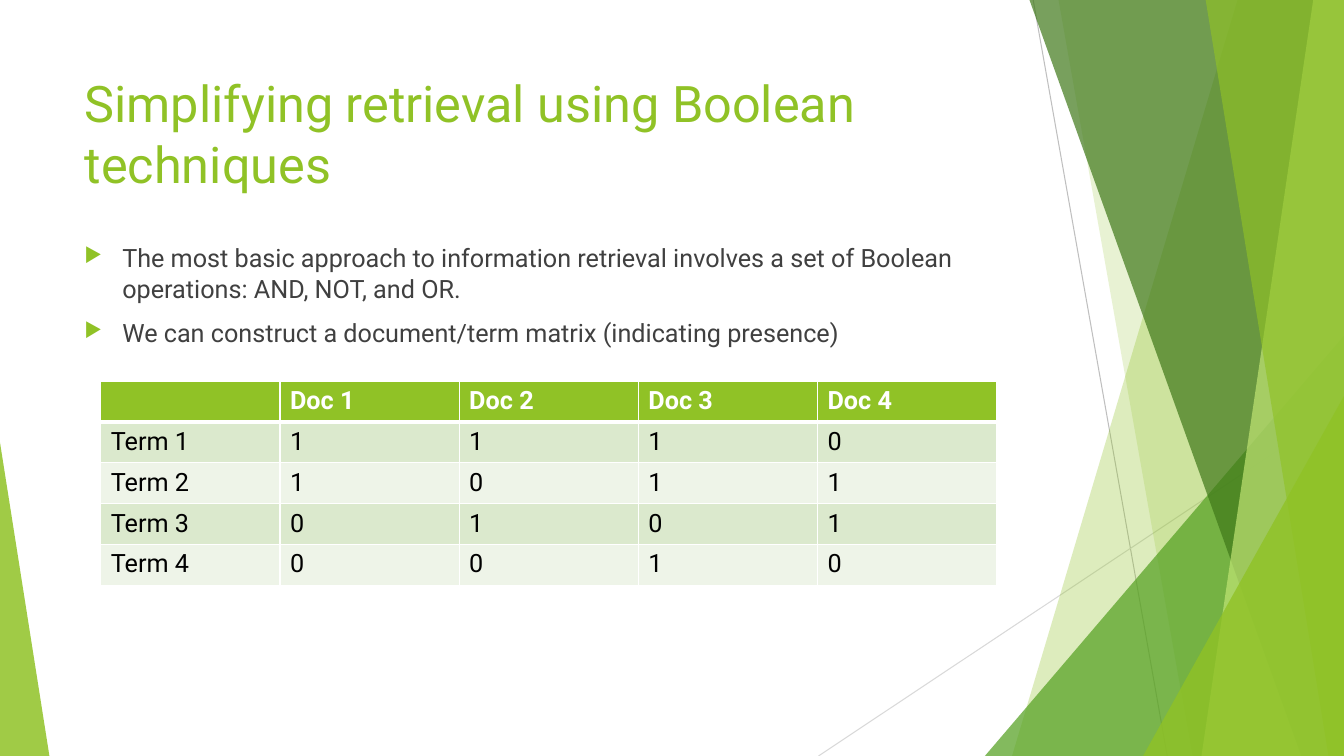
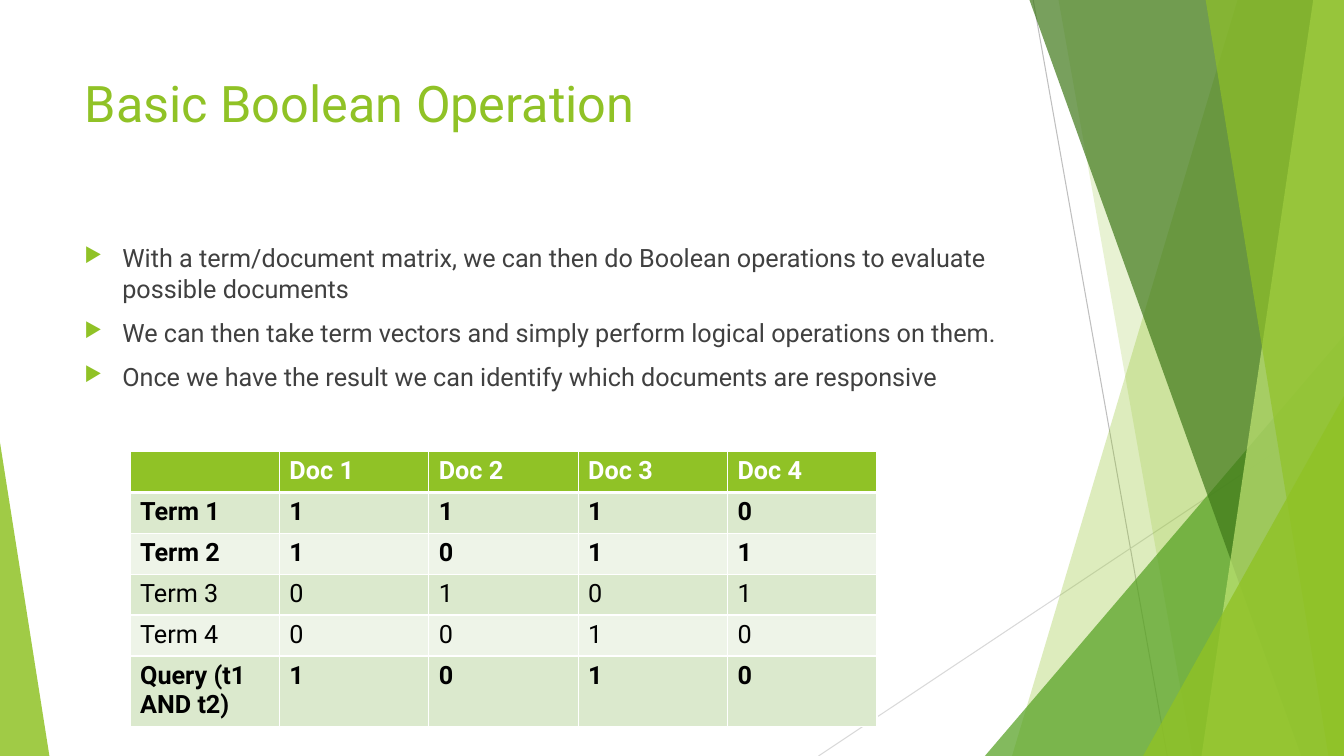
import pptx
import pptx.util
import pptx.dml.color
import pptx.enum.shapes
import pptx.enum.text
import pptx.oxml
import pptx.oxml.ns
from dataclasses import dataclass
from lxml import etree

Pt = pptx.util.Pt
SHAPE = pptx.enum.shapes.MSO_SHAPE

# Shared style, lengths in points
WIDTH, HEIGHT = 960, 540
FONT = "Roboto"
LIME, GREEN, FOREST, PALE = "90C226", "54A021", "3F7819", "C0E474"
WHITE, BLACK, GREY = "FFFFFF", "000000", "404040"
BANDS = ("DBE9CD", "EEF4E8")
LEFT, TEXT_WIDTH = 53.28, 676.8
ROW_HEIGHT, TALL_ROW = 29.2, 49.4


@dataclass
class Ray:
    x1: float
    y1: float
    x2: float
    y2: float
    color: str


@dataclass
class Ribbon:
    """A band from the given top and bottom corners to the right edge."""
    top_x: float
    bottom_x: float
    color: str
    opacity: int


@dataclass
class Wedge:
    """A right triangle that stands on the bottom edge."""
    left: float
    width: float
    height: float
    apex: float
    color: str
    opacity: int


@dataclass
class Matrix:
    left: float
    top: float
    column_width: float
    rows: list[tuple[str, ...]]
    bold_rows: tuple[int, ...] = (0,)
    tall_rows: tuple[int, ...] = ()


@dataclass
class Page:
    title: str
    bullets: list[str]
    matrix: Matrix


BACKDROP = [
    Ray(738, 0, 833.76, HEIGHT, "BFBFBF"),
    Ray(WIDTH, 290.16, 584.64, HEIGHT, "D9D9D9"),
    Ribbon(884.16, 722.88, LIME, 30),
    Ribbon(756, 851.76, LIME, 20),
    Wedge(703.5, 256.5, 300.24, 1, GREEN, 72),
    Ribbon(735.12, 929.52, FOREST, 70),
    Ribbon(938.16, 858.24, PALE, 70),
    Ribbon(861.12, 948.96, LIME, 65),
    Wedge(816.5, 143.5, 257.04, 1, LIME, 80),
    Wedge(0, 35.28, 223.92, 0, LIME, 85),
]

HEADER = ("", "Doc 1", "Doc 2", "Doc 3", "Doc 4")
TERMS = [
    ("Term 1", "1", "1", "1", "0"),
    ("Term 2", "1", "0", "1", "1"),
    ("Term 3", "0", "1", "0", "1"),
    ("Term 4", "0", "0", "1", "0"),
]
QUERY = ("Query (t1 AND t2)", "1", "0", "1", "0")

PAGES = [
    Page(
        "Simplifying retrieval using Boolean techniques",
        ["The most basic approach to information retrieval involves a set of "
         "Boolean operations: AND, NOT, and OR.",
         "We can construct a document/term matrix (indicating presence)"],
        Matrix(72, 272.16, 128, [HEADER, *TERMS]),
    ),
    Page(
        "Basic Boolean Operation",
        ["With a term/document matrix, we can then do Boolean operations to "
         "evaluate possible documents",
         "We can then take term vectors and simply perform logical operations "
         "on them.",
         "Once we have the result we can identify which documents are "
         "responsive"],
        Matrix(92.88, 322.56, 106.7, [HEADER, *TERMS, QUERY],
               bold_rows=(0, 1, 2, 5), tall_rows=(5,)),
    ),
]


# Formatting helpers
def rgb(color: str) -> pptx.dml.color.RGBColor:
    return pptx.dml.color.RGBColor.from_string(color)


def add_xml(parent, tag: str, **attrs):
    node = etree.SubElement(parent, pptx.oxml.ns.qn(tag))
    for name, value in attrs.items():
        node.set(name, str(value))
    return node


def write(p, text: str, *, size: float = 18, color: str = GREY,
          bold: bool = False) -> None:
    r = p.add_run()
    r.text = text
    r.font.name = FONT
    r.font.size = Pt(size)
    r.font.bold = bold
    r.font.color.rgb = rgb(color)


def paint(shape, color: str, opacity: int) -> None:
    shape.shadow.inherit = False
    shape.line.fill.background()
    shape.fill.solid()
    shape.fill.fore_color.rgb = rgb(color)
    clr = shape.element.xpath("./p:spPr/a:solidFill/a:srgbClr")[0]
    add_xml(clr, "a:alpha", val=opacity * 1000)


# Backdrop
def draw_ray(s, ray: Ray):
    line = s.shapes.add_connector(
        pptx.enum.shapes.MSO_CONNECTOR.STRAIGHT,
        Pt(ray.x1), Pt(ray.y1), Pt(ray.x2), Pt(ray.y2))
    line.line.color.rgb = rgb(ray.color)
    line.line.width = Pt(0.75)
    add_xml(line.element.spPr, "a:effectLst")
    return line


def draw_ribbon(s, ribbon: Ribbon):
    top = -0.72
    builder = s.shapes.build_freeform(Pt(ribbon.top_x), Pt(top))
    corners = [(WIDTH, top), (WIDTH, HEIGHT), (ribbon.bottom_x, HEIGHT)]
    builder.add_line_segments([(Pt(x), Pt(y)) for x, y in corners])
    shape = builder.convert_to_shape()
    paint(shape, ribbon.color, ribbon.opacity)
    return shape


def draw_wedge(s, wedge: Wedge):
    shape = s.shapes.add_shape(
        SHAPE.ISOSCELES_TRIANGLE, Pt(wedge.left), Pt(HEIGHT - wedge.height),
        Pt(wedge.width), Pt(wedge.height))
    shape.adjustments[0] = wedge.apex
    paint(shape, wedge.color, wedge.opacity)
    return shape


def move_backdrop_to_layout(s, layout) -> None:
    """Draw the backdrop with the slide's tools, then hand it to the layout."""
    draw = {Ray: draw_ray, Ribbon: draw_ribbon, Wedge: draw_wedge}
    for number, item in enumerate(BACKDROP, start=100):
        element = draw[type(item)](s, item).element
        element.xpath(".//p:cNvPr")[0].set("id", str(number))
        layout.shapes.element.append(element)


# Slide content
def set_title(s, text: str) -> None:
    title = s.shapes.title
    title.left, title.top = Pt(LEFT), Pt(48.24)
    title.width, title.height = Pt(TEXT_WIDTH), Pt(103.68)
    tf = title.text_frame
    tf.word_wrap = True
    tf.auto_size = pptx.enum.text.MSO_AUTO_SIZE.NONE
    tf.vertical_anchor = pptx.enum.text.MSO_ANCHOR.TOP
    p = tf.paragraphs[0]
    p.alignment = pptx.enum.text.PP_ALIGN.LEFT
    write(p, text, size=36, color=LIME)


def add_bullets(s, bullets: list[str]) -> None:
    box = s.shapes.add_textbox(Pt(LEFT), Pt(169.92), Pt(TEXT_WIDTH), Pt(305.28))
    tf = box.text_frame
    tf.word_wrap = True
    for i, text in enumerate(bullets):
        p = tf.add_paragraph() if i else tf.paragraphs[0]
        p.space_before = Pt(10)
        write(p, text)
        pPr = p._p.get_or_add_pPr()
        pPr.set("marL", str(Pt(27)))
        pPr.set("indent", str(Pt(-27)))
        add_xml(add_xml(pPr, "a:buClr"), "a:srgbClr", val=LIME)
        add_xml(pPr, "a:buSzPct", val=80000)
        add_xml(pPr, "a:buChar", char="▶")


def set_borders(cell, row: int) -> None:
    tcPr = cell._tc.get_or_add_tcPr()
    widths = {"a:lnL": 1, "a:lnR": 1, "a:lnT": 3 if row == 1 else 1,
              "a:lnB": 3 if row == 0 else 1}
    for tag, width in widths.items():
        ln = add_xml(tcPr, tag, w=Pt(width))
        add_xml(add_xml(ln, "a:solidFill"), "a:srgbClr", val=WHITE)


def add_matrix(s, matrix: Matrix) -> None:
    columns = len(matrix.rows[0])
    heights = [TALL_ROW if i in matrix.tall_rows else ROW_HEIGHT
               for i in range(len(matrix.rows))]
    table = s.shapes.add_table(
        len(heights), columns, Pt(matrix.left), Pt(matrix.top),
        Pt(matrix.column_width * columns), Pt(sum(heights))).table
    for i, values in enumerate(matrix.rows):
        table.rows[i].height = Pt(heights[i])
        for j, value in enumerate(values):
            cell = table.cell(i, j)
            set_borders(cell, i)
            cell.fill.solid()
            cell.fill.fore_color.rgb = rgb(BANDS[(i - 1) % 2] if i else LIME)
            if value:
                write(cell.text_frame.paragraphs[0], value,
                      color=BLACK if i else WHITE, bold=i in matrix.bold_rows)


# Presentation
prs = pptx.Presentation()
prs.slide_width, prs.slide_height = Pt(WIDTH), Pt(HEIGHT)
layout = prs.slide_layouts.get_by_name("Title Only")
for number, page in enumerate(PAGES):
    s = prs.slides.add_slide(layout)
    if number == 0:
        move_backdrop_to_layout(s, layout)
    set_title(s, page.title)
    add_bullets(s, page.bullets)
    add_matrix(s, page.matrix)
prs.save("out.pptx")
